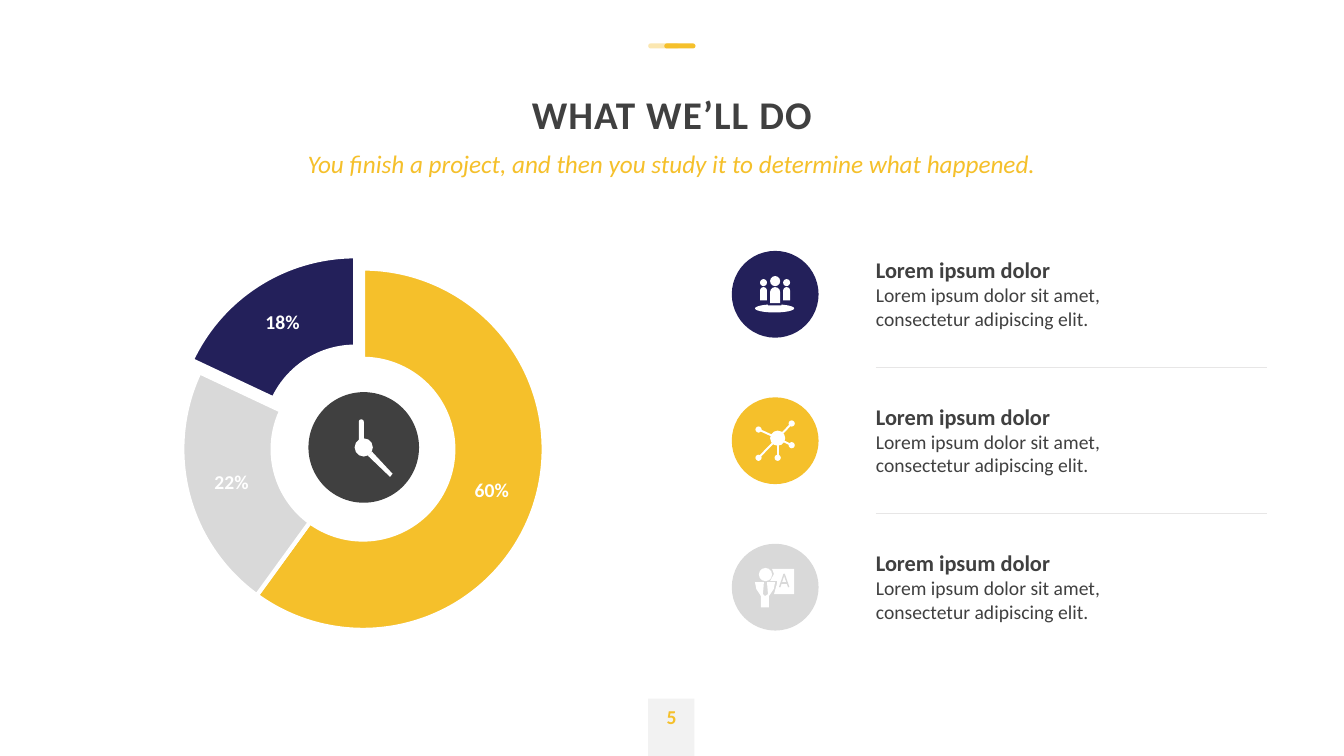
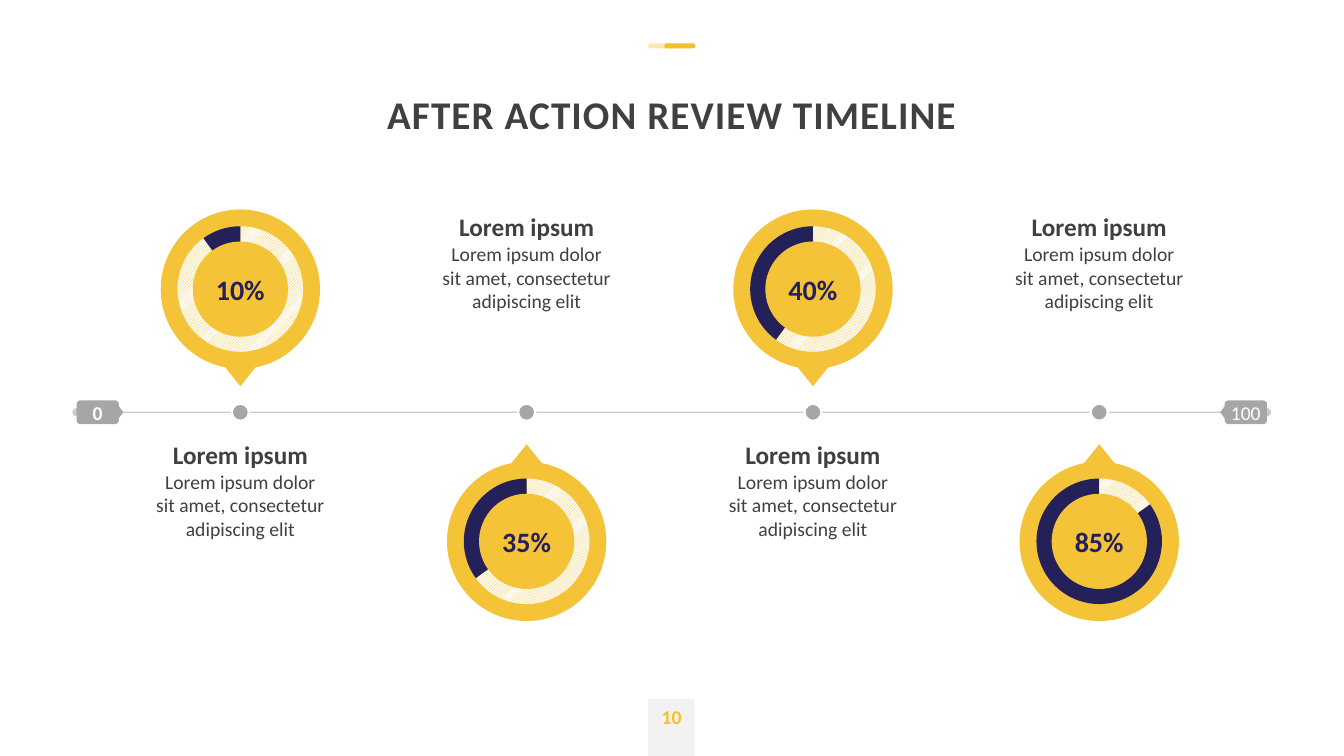
"""Builds two review slides: a doughnut overview and a progress timeline."""
import math

from lxml import etree
from pptx import Presentation
from pptx import util as u
from pptx.chart.data import CategoryChartData
from pptx.dml.color import RGBColor
from pptx.enum import chart as charts
from pptx.enum import dml, shapes, text
from pptx.oxml.ns import qn

FONT = "Calibri"
GOLD, BUBBLE, NAVY, SILVER = "F5C02B", "F5C338", "23205A", "D9D9D9"
DARK, GREY, WHITE = "404040", "A6A6A6", "FFFFFF"
KIND = shapes.MSO_SHAPE
ANCHOR = text.MSO_ANCHOR
LEFT, CENTER = text.PP_ALIGN.LEFT, text.PP_ALIGN.CENTER


def paint(target, color):
    """Give a fill a solid colour."""
    target.solid()
    target.fore_color.rgb = RGBColor.from_string(color)


def set_alpha(item, percent):
    """Make the first colour of a shape or line partly transparent."""
    color = next(item._element.spPr.iter(qn("a:srgbClr")))
    etree.SubElement(color, qn("a:alpha"), val=str(percent * 1000))


def finish(item, color, outline=None, width=1.5):
    """Set the fill and outline of a shape and remove its shadow."""
    item.shadow.inherit = False
    paint(item.fill, color)
    if outline:
        paint(item.line.fill, outline)
        item.line.width = u.Pt(width)
    else:
        item.line.fill.background()
    return item


def add_preset(page, kind, box, color, outline=None):
    """Add a filled preset shape in a box of points."""
    return finish(page.shapes.add_shape(kind, *map(u.Pt, box)), color, outline)


def add_disc(page, x, y, radius, color, outline=None):
    """Add a filled circle around a centre."""
    box = (x - radius, y - radius, 2 * radius, 2 * radius)
    return add_preset(page, KIND.OVAL, box, color, outline)


def add_outline(page, left, top, points, color):
    """Add a filled polygon whose points are relative to a corner."""
    corners = [(u.Pt(left + x), u.Pt(top + y)) for x, y in points]
    builder = page.shapes.build_freeform(*corners[0])
    builder.add_line_segments(corners[1:])
    return finish(builder.convert_to_shape(), color)


def add_line(page, start, end, color, width):
    """Add a straight line without a shadow."""
    ends = map(u.Pt, (*start, *end))
    line = page.shapes.add_connector(shapes.MSO_CONNECTOR.STRAIGHT, *ends)
    paint(line.line.fill, color)
    line.line.width = u.Pt(width)
    etree.SubElement(line._element.spPr, qn("a:effectLst"))
    return line


def write(frame, lines, align=LEFT, anchor=ANCHOR.TOP, margins=(0, 0)):
    """Fill a frame with lines of (words, size, colour, bold)."""
    frame.word_wrap = True
    frame.vertical_anchor = anchor
    frame.margin_left, frame.margin_right = map(u.Pt, margins)
    frame.margin_top = frame.margin_bottom = 0
    for index, (words, size, color, bold) in enumerate(lines):
        para = frame.add_paragraph() if index else frame.paragraphs[0]
        para.text = words
        para.alignment = align
        font = para.font
        font.name, font.size, font.bold = FONT, u.Pt(size), bold
        paint(font.fill, color)
    return frame.paragraphs[0]


def add_text(page, box, lines, align=LEFT, anchor=ANCHOR.TOP):
    """Add a text box and return its first paragraph."""
    label = page.shapes.add_textbox(*map(u.Pt, box))
    return write(label.text_frame, lines, align, anchor)


def add_frame(deck, title, number):
    """Add a page with the shared mark, title and page number."""
    page = deck.slides.add_slide(deck.slide_layouts[6])
    for left, color, alpha in ((463, "FAE098", 75), (474.5, GOLD, 100)):
        pill = add_preset(page, KIND.ROUNDED_RECTANGLE, (left, 31, 22.3, 3.6), color)
        pill.adjustments[0] = 0.5
        set_alpha(pill, alpha)
    para = add_text(page, (54.7, 34.6, 850.4, 64), [(title, 28, DARK, True)],
                    CENTER, ANCHOR.BOTTOM)
    para.line_spacing = 0.9
    para.font._rPr.set("spc", "80")
    add_preset(page, KIND.RECTANGLE, (463, 499, 33, 41), "F2F2F2")
    add_text(page, (463.5, 499, 32.4, 25.2), [(str(number), 14, GOLD, True)],
             CENTER, ANCHOR.MIDDLE)
    return page


def add_ring(page, kind, box, values, plot_box, number_format="General"):
    """Add a pie or doughnut chart with a fixed plot area."""
    data = CategoryChartData(number_format=number_format)
    data.categories = [str(index + 1) for index in range(len(values))]
    data.add_series("Series 1", values)
    chart = page.shapes.add_chart(kind, *map(u.Pt, box), data).chart
    chart.has_legend = chart.has_title = False
    chart.font.name, chart.font.size = FONT, u.Pt(10)
    paint(chart.font.fill, "000000")
    chart.plots[0].vary_by_categories = True
    area = chart._chartSpace.find(".//" + qn("c:plotArea"))
    for old in area.findall(qn("c:layout")):
        area.remove(old)
    layout = etree.Element(qn("c:layout"))
    area.insert(0, layout)
    manual = etree.SubElement(layout, qn("c:manualLayout"))
    settings = [("layoutTarget", "inner"), ("xMode", "edge"), ("yMode", "edge")]
    settings += zip("xywh", plot_box)
    for name, value in settings:
        etree.SubElement(manual, qn("c:" + name), val=str(value))
    return chart


def add_doughnut(page, box):
    """Add the doughnut with its last slice pulled out."""
    chart = add_ring(page, charts.XL_CHART_TYPE.DOUGHNUT, box, (0.6, 0.22, 0.18),
                     (0.08, 0.08, 0.86, 0.86), "0%")
    plot = chart.plots[0]
    for index, color in enumerate((GOLD, SILVER, NAVY)):
        look = plot.series[0].points[index].format
        paint(look.fill, color)
        paint(look.line.fill, WHITE)
        look.line.width = u.Pt(3)
    last = plot.series[0]._element.findall(qn("c:dPt"))[-1]
    explosion = etree.Element(qn("c:explosion"), val="16")
    last.find(qn("c:spPr")).addprevious(explosion)
    chart._chartSpace.find(".//" + qn("c:holeSize")).set("val", "51")
    plot.has_data_labels = True
    labels = plot.data_labels
    labels.show_value, labels.show_percentage = True, False
    labels.number_format, labels.number_format_is_linked = "0%", False
    labels.font.name, labels.font.size, labels.font.bold = FONT, u.Pt(14), True
    paint(labels.font.fill, WHITE)


def draw_clock(page, left, top):
    """Draw the clock in the middle of the doughnut."""
    add_disc(page, left + 39.5, top + 39.5, 39.5, DARK)
    hand = add_preset(page, KIND.ROUNDED_RECTANGLE, (left + 36, top + 19.4, 3.6, 18), WHITE)
    hand.adjustments[0] = 0.5
    add_outline(page, left, top, [(42.5, 45.4), (45.4, 42.5), (60.1, 58.3), (58.3, 60.5)], WHITE)
    add_disc(page, left + 39.5, top + 39.5, 6.5, WHITE)


def draw_team(page, left, top, back):
    """Draw three people on a platform."""
    add_preset(page, KIND.OVAL, (left + 16.6, top + 38.2, 28, 5.8), WHITE)
    add_preset(page, KIND.RECTANGLE, (left + 26, top + 37.4, 9.4, 1.6), back)
    for x, y, size, height in ((20.2, 20.2, 5, 9.4), (27.4, 18, 7.2, 11.5), (36.7, 20.2, 5, 9.4)):
        add_preset(page, KIND.OVAL, (left + x, top + y, size, size), WHITE)
        body = add_preset(page, KIND.ROUND_2_SAME_RECTANGLE,
                          (left + x, top + 25.9, size, height), WHITE)
        body.adjustments[0] = 0.5


def draw_network(page, left, top, back):
    """Draw a hub with five linked nodes."""
    hub = (left + 32.8, top + 29.2)
    for x, y in ((42.8, 18.7), (19.1, 23), (19.1, 43.2), (32.8, 43.2), (42.8, 34.2)):
        add_line(page, hub, (left + x, top + y), WHITE, 1.4)
        add_disc(page, left + x, top + y, 2.2, WHITE)
    add_disc(page, *hub, 5.4, WHITE)


def draw_teacher(page, left, top, back):
    """Draw a person in front of a lettered board."""
    add_disc(page, left + 24.1, top + 22, 4.7, WHITE)
    body = [(16.6, 27.4), (23, 27.4), (22.3, 36), (23.8, 37.4), (25.9, 36),
            (25.2, 27.4), (31, 27.4), (30, 32.4), (26.6, 37.4), (26.6, 45.4),
            (20.9, 45.4), (20.9, 37.4), (17.6, 32.4)]
    board = [(28.8, 18), (44.6, 18), (44.6, 36), (30.2, 36),
             (32.4, 28.1), (32.4, 26.6), (27.4, 26.6), (30.2, 21.6)]
    for points in (body, board):
        add_outline(page, left, top, points, WHITE)
    for x1, y1, x2, y2 in ((37.4, 21.6, 34.2, 31), (37.4, 21.6, 40.7, 31), (35.3, 28, 39.6, 28)):
        add_line(page, (left + x1, top + y1), (left + x2, top + y2), back, 1)


def add_item(page, left, top, color, draw_icon):
    """Add one icon with its heading and description."""
    add_disc(page, left + 31, top + 31, 31, color)
    draw_icon(page, left, top, color)
    add_text(page, (left + 103, top + 4, 230, 54),
             [("Lorem ipsum dolor", 16, DARK, True),
              ("Lorem ipsum dolor sit amet, consectetur adipiscing elit.", 14, DARK, False)])


def build_overview(deck):
    """Build the slide with the doughnut and three items."""
    page = add_frame(deck, "WHAT WE’LL DO", 5)
    subtitle = "You finish a project, and then you study it to determine what happened."
    para = add_text(page, (182, 106, 595.5, 22), [(subtitle, 18, GOLD, False)], CENTER)
    para.font.italic = True
    add_doughnut(page, (105.1, 167.8, 302.4, 300.2))
    draw_clock(page, 220.3, 280.1)
    left, first, step = 522.7, 179.2, 104.6
    items = ((NAVY, draw_team), (GOLD, draw_network), (SILVER, draw_teacher))
    for index, (color, draw_icon) in enumerate(items):
        top = first + index * step
        add_item(page, left, top, color, draw_icon)
        if index:
            add_line(page, (left + 103, top - 21.6), (left + 382.4, top - 21.6), "E7E6E6", 0.5)


def add_tag(page, left, top, words, bold, points_right):
    """Add a rounded scale tag with a small tip on one side."""
    width, height, tip, radius = 30.2, 17, 3.2, 2.9
    points = []
    for x, y, start in ((width - radius, height - radius, 0), (radius, height - radius, 90),
                        (radius, radius, 180), (width - radius, radius, 270)):
        for step in range(5):
            angle = math.radians(start + step * 22.5)
            points.append((x + radius * math.cos(angle), y + radius * math.sin(angle)))
    middle = height / 2
    points += [(width, middle - 4.3), (width + tip, middle), (width, middle + 4.3)]
    if not points_right:
        points = [(width - x, y) for x, y in points]
    tag = add_outline(page, left, top, points, GREY)
    write(tag.text_frame, [(words, 14, WHITE, bold)], CENTER, ANCHOR.MIDDLE,
          (0, tip) if points_right else (tip, 0))


def add_milestone(page, x, axis, share, above):
    """Add a progress bubble, its text and its dot on the axis."""
    y = axis - 88 if above else axis + 92.2
    size = 113.8
    bubble = add_preset(page, KIND.OVAL_CALLOUT, (x - size / 2, y - size / 2, size, size), BUBBLE)
    bubble.adjustments[0] = 0
    bubble.adjustments[1] = 0.61 if above else -0.61
    chart = add_ring(page, charts.XL_CHART_TYPE.PIE, (x - 87, y - 54.7, 174, 109.4),
                     (100 - share, share), (0.24, 0.09, 0.52, 0.82))
    rest, done = (chart.plots[0].series[0].points[index].format for index in (0, 1))
    rest.fill.patterned()
    rest.fill.pattern = dml.MSO_PATTERN.LIGHT_UPWARD_DIAGONAL
    rest.fill.fore_color.rgb = RGBColor.from_string(GOLD)
    rest.fill.back_color.rgb = RGBColor.from_string(WHITE)
    paint(done.fill, NAVY)
    for look in (rest, done):
        look.line.fill.background()
    add_disc(page, x, y, 34, BUBBLE)
    add_text(page, (x - 39, y - 21, 78, 42), [(f"{share}%", 20, NAVY, True)],
             CENTER, ANCHOR.MIDDLE)
    add_disc(page, x, axis, 6.1, GREY, WHITE)
    top = axis + 19.4 if above else axis - 143.3
    add_text(page, (x - 61, top, 122, 76),
             [("Lorem ipsum", 18, DARK, True),
              ("Lorem ipsum dolor sit amet, consectetur adipiscing elit", 14, DARK, False)], CENTER)


def build_timeline(deck):
    """Build the slide with four milestones along an axis."""
    page = add_frame(deck, "AFTER ACTION REVIEW TIMELINE", 10)
    axis, start, end = 294.5, 54.7, 905
    line = add_line(page, (start, axis), (end, axis), "808080", 1)
    set_alpha(line, 40)
    for name in ("a:headEnd", "a:tailEnd"):
        etree.SubElement(line._element.spPr.find(qn("a:ln")), qn(name), type="oval")
    add_tag(page, start, axis - 8.5, "0", True, True)
    add_tag(page, end - 30.2, axis - 8.5, "100", False, False)
    for index, share in enumerate((10, 35, 40, 85)):
        add_milestone(page, 171.7 + index * 204.5, axis, share, index % 2 == 0)


def main():
    """Build and save the deck."""
    deck = Presentation()
    deck.slide_width, deck.slide_height = u.Pt(960), u.Pt(540)
    build_overview(deck)
    build_timeline(deck)
    deck.save("out.pptx")


if __name__ == "__main__":
    main()
